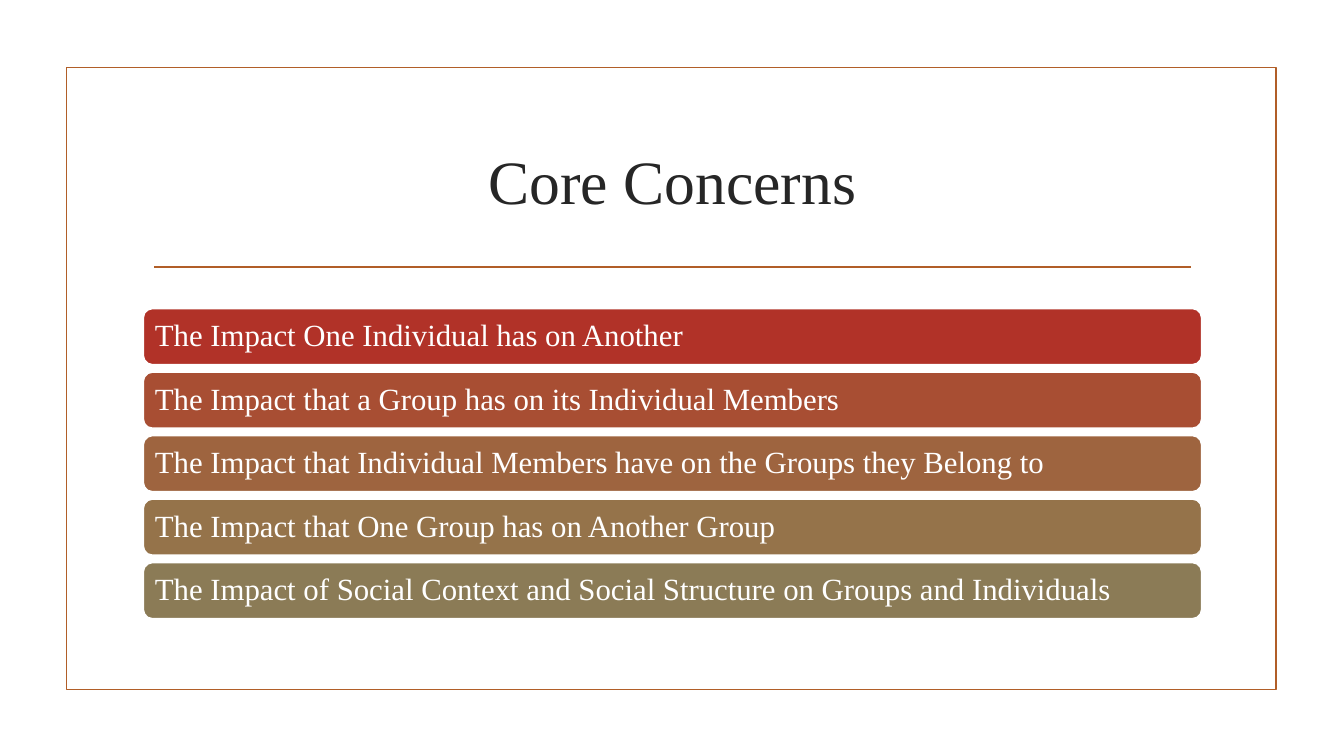
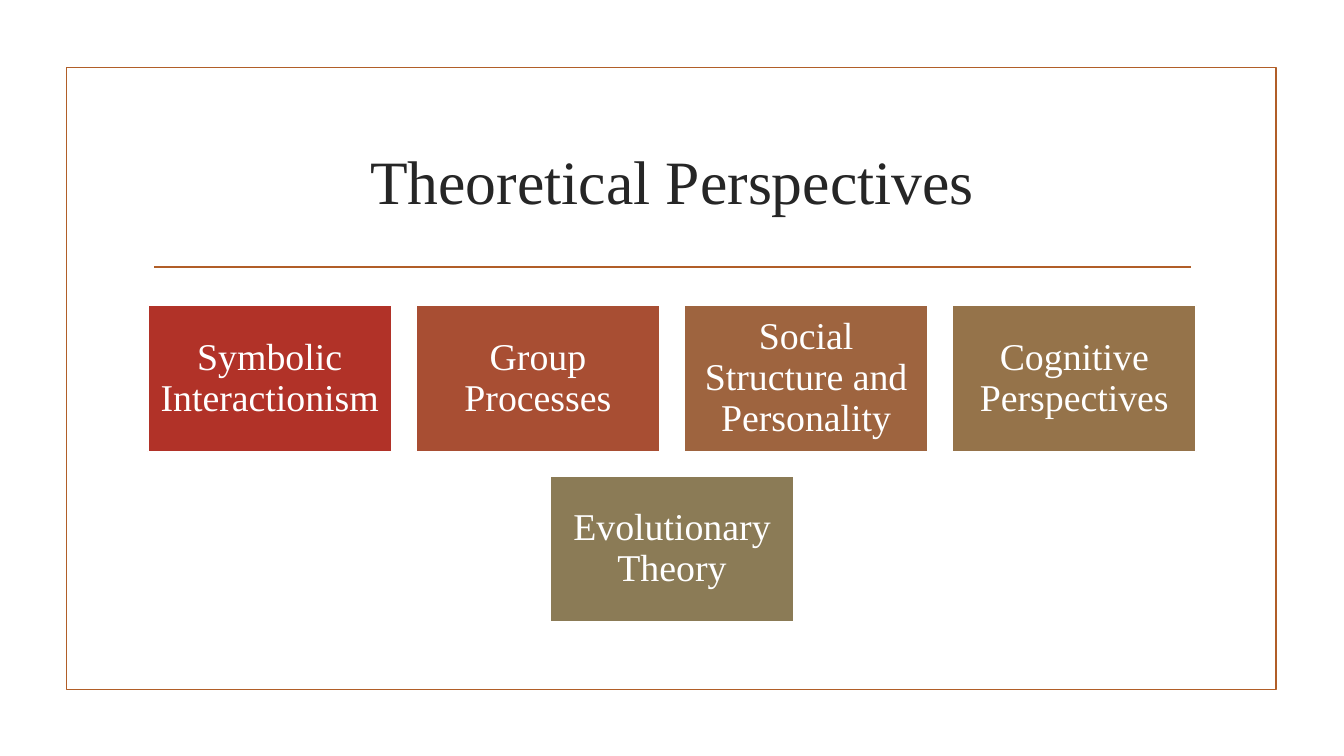
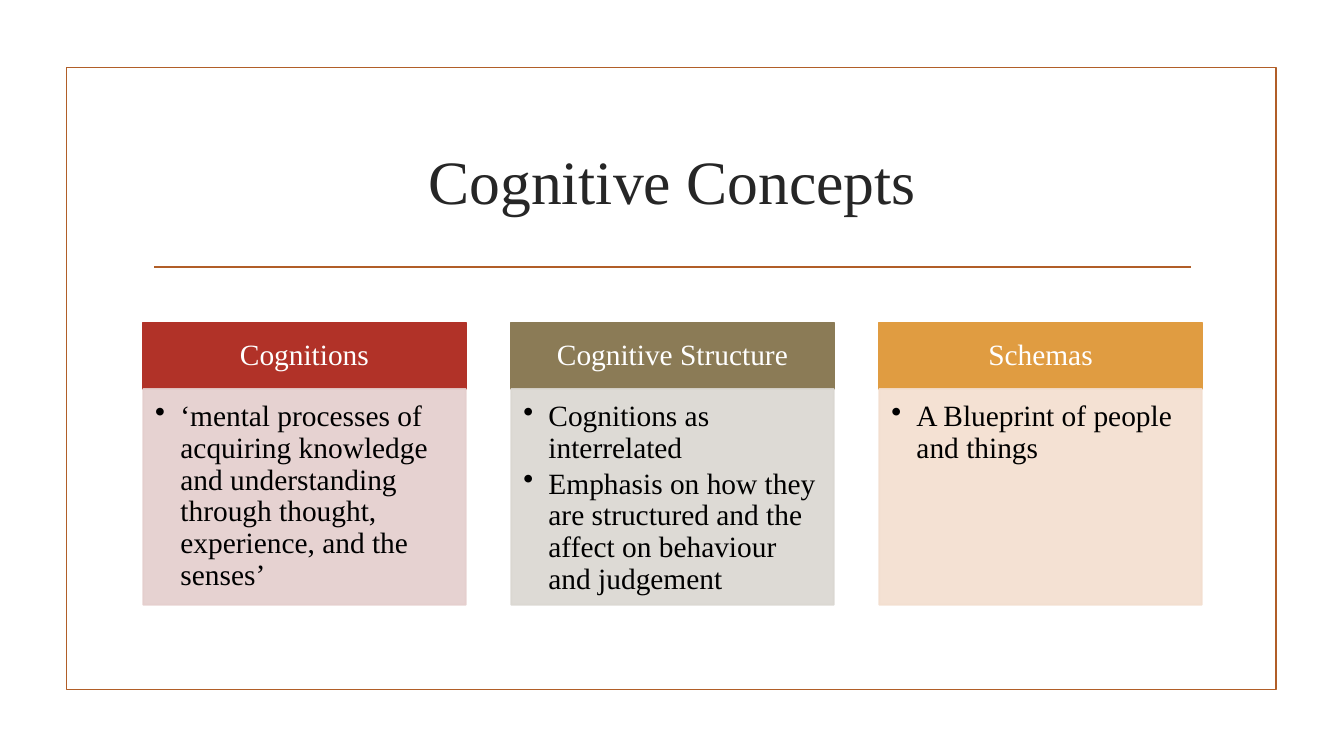
"""Build three social psychology slides with a shared frame and title style."""
import pptx
import pptx.dml.color
import pptx.enum.shapes
import pptx.enum.text
import pptx.oxml
import pptx.oxml.ns
import pptx.util
from lxml import etree

RGBColor = pptx.dml.color.RGBColor
Inches = pptx.util.Inches
Pt = pptx.util.Pt
SHAPES = pptx.enum.shapes.MSO_SHAPE
ALIGN = pptx.enum.text.PP_ALIGN
ANCHOR = pptx.enum.text.MSO_ANCHOR
qn = pptx.oxml.ns.qn

FONT = "Times New Roman"
WHITE = RGBColor(0xFF, 0xFF, 0xFF)
BLACK = RGBColor(0x00, 0x00, 0x00)
TITLE_COLOR = RGBColor(0x26, 0x26, 0x26)
FRAME = RGBColor(0xB1, 0x5E, 0x28)
RED = RGBColor(0xB1, 0x32, 0x28)
OLIVE = RGBColor(0x8B, 0x7B, 0x56)
AMBER = RGBColor(0xE0, 0x9C, 0x41)
PALE_RED = RGBColor(0xE4, 0xCE, 0xCD)
PALE_OLIVE = RGBColor(0xDA, 0xD7, 0xD1)
PALE_AMBER = RGBColor(0xF3, 0xDE, 0xCF)
RAMP = [RED, RGBColor(0xA8, 0x4E, 0x33), RGBColor(0x9E, 0x64, 0x3F),
        RGBColor(0x95, 0x73, 0x4A), OLIVE]

SLIDE_WIDTH, SLIDE_HEIGHT = 13.33, 7.5
LEFT, WIDTH = 1.42, 10.5
LINE_WIDTH = 1.25

CONCERNS = [
    "The Impact One Individual has on Another",
    "The Impact that a Group has on its Individual Members",
    "The Impact that Individual Members have on the Groups they Belong to",
    "The Impact that One Group has on Another Group",
    "The Impact of Social Context and Social Structure on Groups and Individuals",
]
PERSPECTIVES = [
    "Symbolic Interactionism",
    "Group Processes",
    "Social Structure and Personality",
    "Cognitive Perspectives",
    "Evolutionary Theory",
]
CONCEPTS = [
    ("Cognitions", RED, PALE_RED,
     ["‘mental processes of acquiring knowledge and understanding through thought, "
      "experience, and the senses’"]),
    ("Cognitive Structure", OLIVE, PALE_OLIVE,
     ["Cognitions as interrelated",
      "Emphasis on how they are structured and the affect on behaviour and judgement"]),
    ("Schemas", AMBER, PALE_AMBER, ["A Blueprint of people and things"]),
]


def write(shape, lines, size, color, align=ALIGN.LEFT, anchor=ANCHOR.MIDDLE,
          insets=(0.1, 0.05, 0.1, 0.05), spacing=0.9, bullets=False):
    """Fill a shape with formatted paragraphs."""
    frame = shape.text_frame
    frame.word_wrap = True
    frame.vertical_anchor = anchor
    (frame.margin_left, frame.margin_top,
     frame.margin_right, frame.margin_bottom) = map(Inches, insets)
    for index, line in enumerate(lines):
        paragraph = frame.paragraphs[0] if index == 0 else frame.add_paragraph()
        paragraph.text = line
        paragraph.alignment = align
        paragraph.line_spacing = spacing
        if bullets:
            paragraph.space_after = Pt(3)
            properties = paragraph._p.get_or_add_pPr()
            properties.set("marL", str(Inches(0.25)))
            properties.set("indent", str(-Inches(0.25)))
            etree.SubElement(properties, qn("a:buChar")).set("char", "•")
        for run in paragraph.runs:
            run.font.name = FONT
            run.font.size = Pt(size)
            run.font.color.rgb = color


def add_box(slide, box, fill, line, kind=SHAPES.RECTANGLE):
    """Add a preset shape with a flat fill and outline."""
    shape = slide.shapes.add_shape(kind, *map(Inches, box))
    shape.shadow.inherit = False
    if fill is None:
        shape.fill.background()
    else:
        shape.fill.solid()
        shape.fill.fore_color.rgb = fill
    shape.line.color.rgb = line
    shape.line.width = Pt(LINE_WIDTH)
    return shape


def set_opacity(shape, percent):
    """Make the fill and outline of a shape partly transparent."""
    for color in shape.element.spPr.iter(qn("a:srgbClr")):
        etree.SubElement(color, qn("a:alpha")).set("val", str(percent * 1000))


def add_slide(presentation, title):
    """Add a slide with the frame, title and rule."""
    slide = presentation.slides.add_slide(presentation.slide_layouts[6])
    add_box(slide, (0.66, 0.67, 12, 6.17), None, FRAME)
    rule = slide.shapes.add_connector(
        pptx.enum.shapes.MSO_CONNECTOR.STRAIGHT,
        *map(Inches, (1.53, 2.65, 11.81, 2.65)))
    rule.line.color.rgb = FRAME
    rule.line.width = Pt(LINE_WIDTH)
    etree.SubElement(rule.element.spPr, qn("a:effectLst"))
    heading = slide.shapes.add_textbox(*map(Inches, (LEFT, 1.07, WIDTH, 1.43)))
    write(heading, [title], 44, TITLE_COLOR, ALIGN.CENTER, spacing=1.0)
    return slide


def add_concerns(slide):
    """Stack one rounded bar per concern."""
    top, height, pitch = 3.06, 0.56, 0.63
    for row, (text, color) in enumerate(zip(CONCERNS, RAMP)):
        bar = add_box(slide, (LEFT, top + row * pitch, WIDTH, height), color, WHITE,
                      SHAPES.ROUNDED_RECTANGLE)
        write(bar, [text], 22, WHITE, insets=(0.09,) * 4)


def add_perspectives(slide):
    """Lay tiles in centred rows of four."""
    columns, width, height, gap, top = 4, 2.42, 1.45, 0.24, 3.03
    for index, (text, color) in enumerate(zip(PERSPECTIVES, RAMP)):
        row, column = divmod(index, columns)
        count = min(columns, len(PERSPECTIVES) - row * columns)
        row_width = count * width + (count - 1) * gap
        left = (SLIDE_WIDTH - row_width) / 2 + column * (width + gap)
        tile = add_box(slide, (left, top + row * (height + gap), width, height),
                       color, WHITE)
        write(tile, [text], 27, WHITE, ALIGN.CENTER, insets=(0.11,) * 4)


def add_concepts(slide):
    """Place a header and a bulleted panel in each column."""
    width, top, header_height, panel_height = 3.2, 3.2, 0.66, 2.14
    pitch = (WIDTH - width) / (len(CONCEPTS) - 1)
    for column, (name, color, pale, points) in enumerate(CONCEPTS):
        left = LEFT + column * pitch
        header = add_box(slide, (left, top, width, header_height), color, color)
        write(header, [name], 21, WHITE, ALIGN.CENTER, insets=(0.16, 0.09, 0.16, 0.09))
        panel = add_box(slide, (left, top + header_height, width, panel_height),
                        pale, pale)
        set_opacity(panel, 90)
        write(panel, points, 21, BLACK, anchor=ANCHOR.TOP,
              insets=(0.12, 0.12, 0.16, 0.18), bullets=True)


def main():
    """Build and save the presentation."""
    presentation = pptx.Presentation()
    presentation.slide_width = Inches(SLIDE_WIDTH)
    presentation.slide_height = Inches(SLIDE_HEIGHT)
    for title, add_content in [("Core Concerns", add_concerns),
                               ("Theoretical Perspectives", add_perspectives),
                               ("Cognitive Concepts", add_concepts)]:
        add_content(add_slide(presentation, title))
    presentation.save("out.pptx")


if __name__ == "__main__":
    main()
